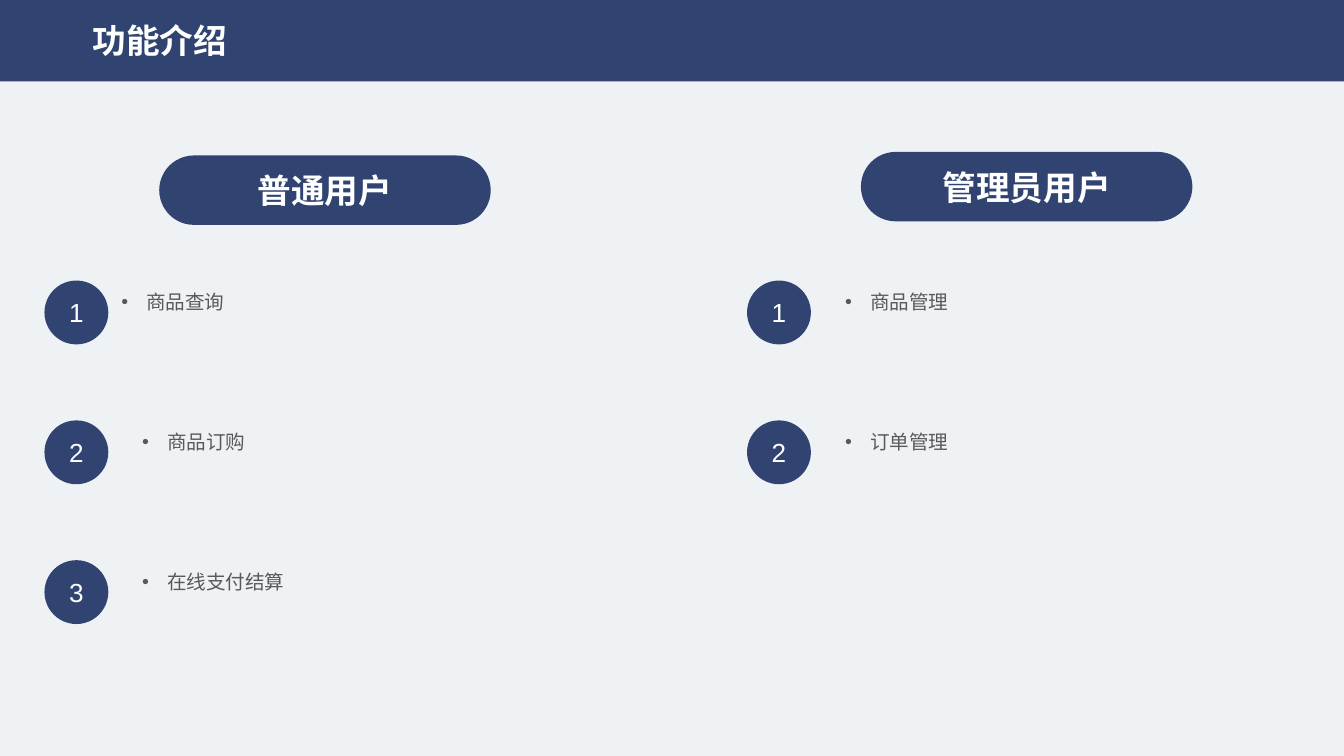
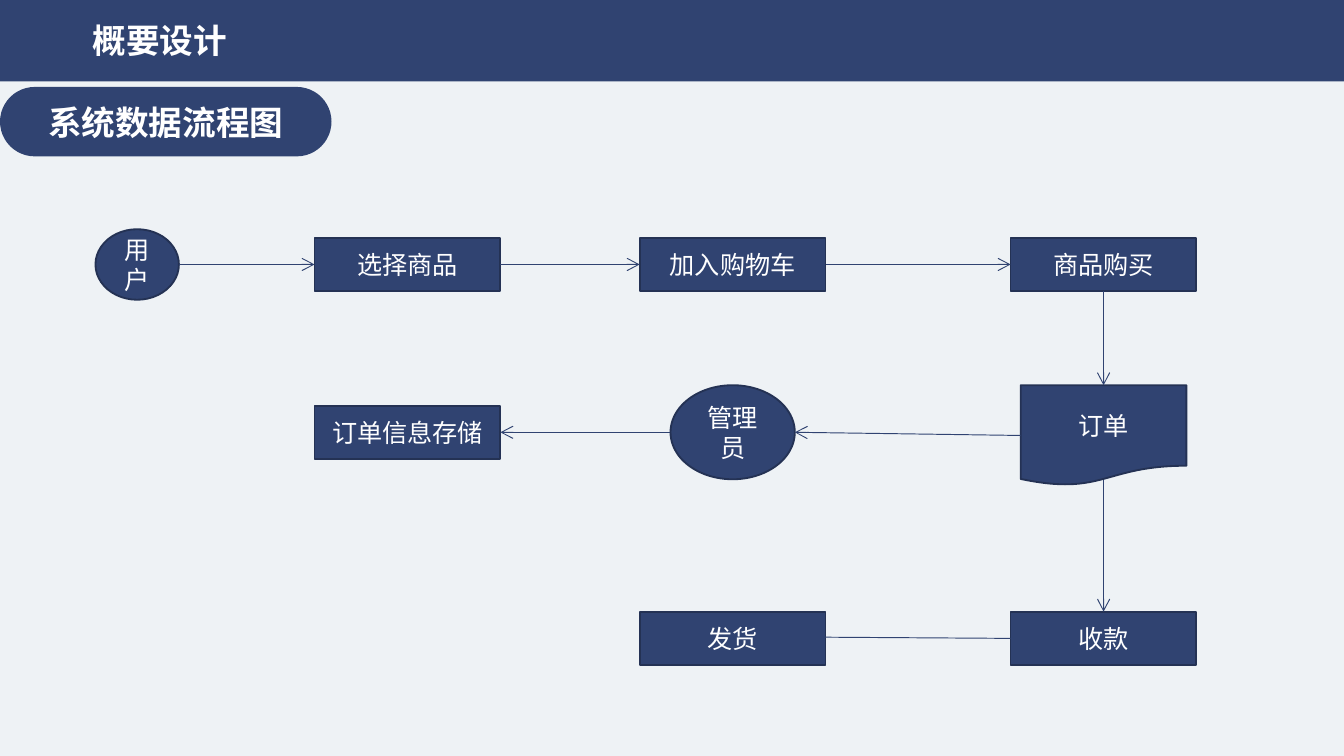
from dataclasses import dataclass

from lxml.etree import SubElement
from pptx import Presentation
from pptx.dml.color import RGBColor
from pptx.enum.shapes import MSO_CONNECTOR, MSO_SHAPE
from pptx.enum.text import MSO_ANCHOR, MSO_AUTO_SIZE, PP_ALIGN
from pptx.oxml.ns import qn
from pptx.util import Pt


@dataclass(frozen=True)
class Theme:
    paper: str = "EEF2F5"
    navy: str = "304371"
    edge: str = "243254"
    white: str = "FFFFFF"
    grey: str = "595959"
    heading_font: str = "Noto Sans CJK SC"
    body_font: str = "Calibri"
    number_font: str = "Arial"
    heading_size: float = 18
    number_size: float = 14
    step_size: float = 13.5
    item_size: float = 10.5


THEME = Theme()

# Content: places in points
SLIDE_SIZE = (720, 405)
BAND_HEIGHT = 43.7
TITLE_BOX = (42.5, 7.2, 86.4, 28.8)
PILL_SIZE = (177.6, 37.2)

FEATURES_TITLE = "功能介绍"
USER_GROUPS = [
    {"heading": "普通用户", "pill": (85.3, 83.3), "circle_left": 23.8,
     "features": [("商品查询", 57.9), ("商品订购", 69.1), ("在线支付结算", 69.1)]},
    {"heading": "管理员用户", "pill": (461.2, 81.4), "circle_left": 400.2,
     "features": [("商品管理", 445.7), ("订单管理", 445.7)]},
]
CIRCLE = 34.2
FIRST_CIRCLE_TOP = 150.3
FEATURE_PITCH = 74.9
FEATURE_SIZE = (250.6, 25.9)
FEATURE_RISE = 4.8
BULLET_INDENT = 13.5

DESIGN_TITLE = "概要设计"
FLOW_HEADING = ("系统数据流程图", (0, 46.6))
COLUMN_X = (73.5, 218.3, 392.5, 591.2)
ROW_Y = (141.7, 231.6, 342)
BOX, OVAL, PAPER = MSO_SHAPE.RECTANGLE, MSO_SHAPE.OVAL, MSO_SHAPE.FLOWCHART_DOCUMENT
BOX_SIZE = (99.6, 28.6)
# text: (outline, size, column, row, shift down)
STEPS = {
    "选择商品": (BOX, BOX_SIZE, 1, 0, 0),
    "加入购物车": (BOX, BOX_SIZE, 2, 0, 0),
    "商品购买": (BOX, BOX_SIZE, 3, 0, 0),
    "用户": (OVAL, (44.7, 37.8), 0, 0, 0),
    "订单": (PAPER, (88.8, 53.8), 3, 1, 1.7),
    "管理员": (OVAL, (66.6, 50.4), 2, 1, 0),
    "订单信息存储": (BOX, BOX_SIZE, 1, 1, 0),
    "发货": (BOX, BOX_SIZE, 2, 2, 0),
    "收款": (BOX, BOX_SIZE, 3, 2, 0),
}
TOP, LEFT, BOTTOM, RIGHT = range(4)
SHIPPING_POINT = (433.4, 341.3)
# (from step, side, to step, side); a point may stand for the second step
FLOWS = [
    ("用户", RIGHT, "选择商品", LEFT),
    ("选择商品", RIGHT, "加入购物车", LEFT),
    ("加入购物车", RIGHT, "商品购买", LEFT),
    ("商品购买", BOTTOM, "订单", TOP),
    ("订单", BOTTOM, "收款", TOP),
    ("收款", LEFT, SHIPPING_POINT, None),
    ("订单", LEFT, "管理员", RIGHT),
    ("管理员", LEFT, "订单信息存储", RIGHT),
]
PAPER_FOOT = 0.94  # height share at which the wavy edge crosses the middle


# Helpers
def rgb(value):
    return RGBColor.from_string(value)


def write(frame, text, *, size, font, color=THEME.white, bold=False,
          align=PP_ALIGN.CENTER, anchor=MSO_ANCHOR.MIDDLE, wrap=True,
          grow=False, bullet=False, margins=(7.2, 3.6)):
    frame.word_wrap = wrap
    frame.vertical_anchor = anchor
    frame.auto_size = MSO_AUTO_SIZE.SHAPE_TO_FIT_TEXT if grow else MSO_AUTO_SIZE.NONE
    frame.margin_left = frame.margin_right = Pt(margins[0])
    frame.margin_top = frame.margin_bottom = Pt(margins[1])
    paragraph = frame.paragraphs[0]
    paragraph.alignment = align
    if bullet:
        properties = paragraph._p.get_or_add_pPr()
        properties.set("marL", str(Pt(BULLET_INDENT)))
        properties.set("indent", str(-Pt(BULLET_INDENT)))
        SubElement(properties, qn("a:buFont")).set("typeface", THEME.number_font)
        SubElement(properties, qn("a:buChar")).set("char", "•")
        paragraph.line_spacing = 1.5
    run = paragraph.add_run()
    run.text = text
    run.font.size, run.font.name, run.font.bold = Pt(size), font, bold
    run.font.color.rgb = rgb(color)
    SubElement(run._r.get_or_add_rPr(), qn("a:ea")).set("typeface", THEME.heading_font)


def add_solid(slide, outline, left, top, width, height, edge=None):
    solid = slide.shapes.add_shape(outline, Pt(left), Pt(top), Pt(width), Pt(height))
    solid.shadow.inherit = False
    solid.fill.solid()
    solid.fill.fore_color.rgb = rgb(THEME.navy)
    if edge:
        solid.line.color.rgb = rgb(edge)
        solid.line.width = Pt(1)
    else:
        solid.line.fill.background()
    return solid


def add_pill(slide, heading, corner):
    pill = add_solid(slide, MSO_SHAPE.ROUNDED_RECTANGLE, *corner, *PILL_SIZE)
    pill.adjustments[0] = 0.5
    write(pill.text_frame, heading, size=THEME.heading_size,
          font=THEME.heading_font, bold=True)


def add_titled_slide(deck, layout, heading):
    slide = deck.slides.add_slide(layout)
    title = slide.shapes.title
    title.left, title.top, title.width, title.height = map(Pt, TITLE_BOX)
    write(title.text_frame, heading, size=THEME.heading_size,
          font=THEME.heading_font, bold=True, wrap=False, margins=(0, 0))
    return slide


def side_point(step, side):
    outline, (width, height), column, row, shift = STEPS[step]
    x, y = COLUMN_X[column], ROW_Y[row] + shift
    foot = height * PAPER_FOOT if outline == PAPER else height
    return {TOP: (x, y - height / 2), LEFT: (x - width / 2, y),
            BOTTOM: (x, y - height / 2 + foot), RIGHT: (x + width / 2, y)}[side]


def add_flow(slide, drawn, source, source_side, target, target_side):
    start = side_point(source, source_side)
    end = target if target_side is None else side_point(target, target_side)
    arrow = slide.shapes.add_connector(MSO_CONNECTOR.STRAIGHT, *map(Pt, start + end))
    if STEPS[source][0] == BOX:
        arrow.begin_connect(drawn[source], source_side)
    if target in STEPS and STEPS[target][0] == BOX:
        arrow.end_connect(drawn[target], target_side)
    arrow.line.color.rgb = rgb(THEME.navy)
    arrow.line.width = Pt(0.5)
    properties = arrow.element.spPr
    SubElement(properties.find(qn("a:ln")), qn("a:tailEnd")).set("type", "arrow")
    SubElement(properties, qn("a:effectLst"))


# Slides
def build_features(slide):
    for group in USER_GROUPS:
        add_pill(slide, group["heading"], group["pill"])
        for index, (feature, left) in enumerate(group["features"]):
            top = FIRST_CIRCLE_TOP + index * FEATURE_PITCH
            circle = add_solid(slide, OVAL, group["circle_left"], top, CIRCLE, CIRCLE)
            write(circle.text_frame, str(index + 1), size=THEME.number_size,
                  font=THEME.number_font)
            label = slide.shapes.add_textbox(
                *map(Pt, (left, top - FEATURE_RISE, *FEATURE_SIZE)))
            write(label.text_frame, feature, size=THEME.item_size,
                  font=THEME.body_font, color=THEME.grey, align=PP_ALIGN.LEFT,
                  anchor=MSO_ANCHOR.TOP, grow=True, bullet=True)


def build_design(slide):
    add_pill(slide, *FLOW_HEADING)
    drawn = {}
    for step, (outline, (width, height), column, row, shift) in STEPS.items():
        left = COLUMN_X[column] - width / 2
        top = ROW_Y[row] + shift - height / 2
        drawn[step] = add_solid(slide, outline, left, top, width, height, THEME.edge)
        write(drawn[step].text_frame, step, size=THEME.step_size, font=THEME.body_font)
    for flow in FLOWS:
        add_flow(slide, drawn, *flow)


def main():
    deck = Presentation()
    deck.slide_width, deck.slide_height = map(Pt, SLIDE_SIZE)
    background = deck.slide_master.background.fill
    background.solid()
    background.fore_color.rgb = rgb(THEME.paper)
    layout = deck.slide_layouts.get_by_name("Title Only")

    features = add_titled_slide(deck, layout, FEATURES_TITLE)
    design = add_titled_slide(deck, layout, DESIGN_TITLE)

    # The band moves to the layout, so both slides share it
    band = add_solid(features, BOX, 0, 0, SLIDE_SIZE[0], BAND_HEIGHT)
    layout.shapes.element.insert(2, band.element)

    build_features(features)
    build_design(design)
    deck.save("out.pptx")


if __name__ == "__main__":
    main()
